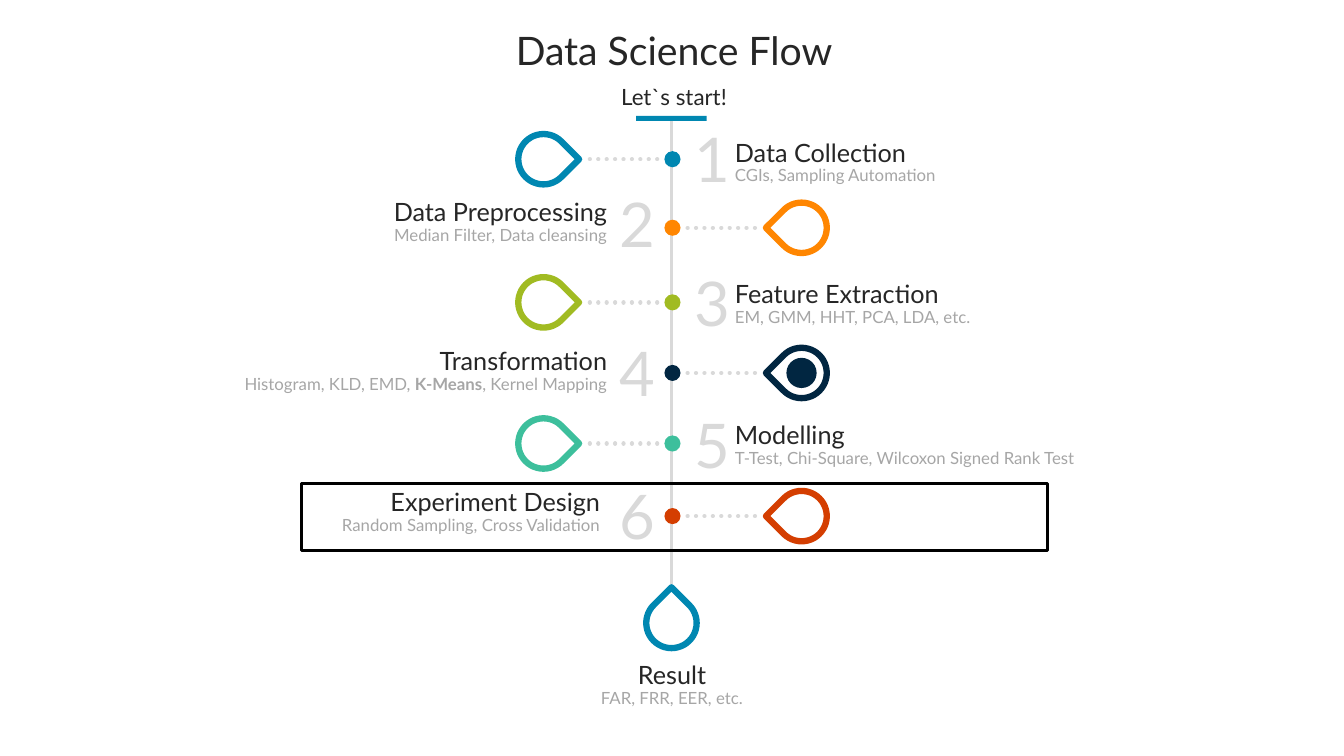
import dataclasses
import typing

import lxml.etree
import pptx
import pptx.dml.color
import pptx.enum.dml
import pptx.enum.shapes
import pptx.enum.text
import pptx.oxml.ns
import pptx.util

Inches = pptx.util.Inches
Pt = pptx.util.Pt
RGBColor = pptx.dml.color.RGBColor
Kind = pptx.enum.shapes.MSO_SHAPE
Align = pptx.enum.text.PP_ALIGN
qn = pptx.oxml.ns.qn

FONT = "Lato"
BLACK = RGBColor(0x00, 0x00, 0x00)
DARK = RGBColor(0x26, 0x26, 0x26)
GREY = RGBColor(0xA6, 0xA6, 0xA6)
PALE = RGBColor(0xD9, 0xD9, 0xD9)
BLUE = RGBColor(0x00, 0x87, 0xB1)
ORANGE = RGBColor(0xFF, 0x86, 0x01)
LIME = RGBColor(0xA1, 0xBB, 0x22)
NAVY = RGBColor(0x01, 0x26, 0x41)
MINT = RGBColor(0x3D, 0xBF, 0x9C)
RED = RGBColor(0xD4, 0x3E, 0x01)

AXIS = 6.66    # x of the spine
WIDE = 4.21    # width of the text boxes
DROP = 0.5     # size of a teardrop
DOT = 0.16     # size of a dot on the spine
GAP = 0.28     # from the top of a heading to its detail


@dataclasses.dataclass
class Style:
    size: float
    color: RGBColor


@dataclasses.dataclass
class Step:
    head: str
    note: str      # words between asterisks are bold
    color: RGBColor
    mid: float     # y of the dot
    top: float     # y of the heading
    num: float     # y of the number
    edge: float    # x of the text box


TITLE = Style(28, DARK)
START = Style(16, DARK)
HEAD = Style(18, DARK)
NOTE = Style(12, GREY)
NUMBER = Style(44, PALE)

STEPS = [
    Step("Data Collection", "CGIs, Sampling Automation",
         BLUE, 1.58, 1.31, 1.15, 7.19),
    Step("Data Preprocessing", "Median Filter, Data cleansing",
         ORANGE, 2.26, 1.9, 1.8, 1.91),
    Step("Feature Extraction", "EM, GMM, HHT, PCA, LDA, etc.",
         LIME, 3.0, 2.71, 2.58, 7.19),
    Step("Transformation", "Histogram, KLD, EMD, *K-Means*, Kernel Mapping",
         NAVY, 3.7, 3.38, 3.27, 1.91),
    Step("Modelling", "T-Test, Chi-Square, Wilcoxon Signed Rank Test",
         MINT, 4.4, 4.11, 3.99, 7.19),
    Step("Experiment Design", "Random Sampling, Cross Validation",
         RED, 5.12, 4.78, 4.69, 1.84),
]

deck = pptx.Presentation()
deck.slide_width, deck.slide_height = Inches(13.33), Inches(7.5)
slide = deck.slides.add_slide(deck.slide_layouts[5])
shapes = slide.shapes


def apply(target: typing.Any, values: dict[str, typing.Any]) -> None:
    for name, value in values.items():
        setattr(target, name, value)


def write(box: typing.Any, text: str, style: Style, align: Align) -> None:
    frame = box.text_frame
    apply(frame, {
        "word_wrap": True,
        "auto_size": pptx.enum.text.MSO_AUTO_SIZE.SHAPE_TO_FIT_TEXT,
        "vertical_anchor": pptx.enum.text.MSO_ANCHOR.TOP,
    })
    para = frame.paragraphs[0]
    para.alignment = align
    for i, part in enumerate(text.split("*")):
        run = para.add_run()
        run.text = part
        apply(run.font, {"name": FONT, "size": Pt(style.size),
                         "bold": i % 2 == 1})
        run.font.color.rgb = style.color


def label(text: str, style: Style, left: float, top: float, width: float,
          height: float, align: Align = Align.LEFT) -> None:
    box = shapes.add_textbox(*map(Inches, (left, top, width, height)))
    write(box, text, style, align)


def pair(head: str, note: str, left: float, top: float, align: Align) -> None:
    label(head, HEAD, left, top, WIDE, 0.4, align)
    label(note, NOTE, left, top + GAP, WIDE, 0.3, align)


def solid(kind: Kind, left: float, top: float, width: float, height: float,
          color: RGBColor) -> typing.Any:
    shape = shapes.add_shape(kind, *map(Inches, (left, top, width, height)))
    shape.shadow.inherit = False
    shape.fill.solid()
    shape.fill.fore_color.rgb = color
    shape.line.fill.background()
    return shape


def hollow(kind: Kind, left: float, top: float, width: float, height: float,
           color: RGBColor, weight: float, turn: float = 0) -> None:
    shape = shapes.add_shape(kind, *map(Inches, (left, top, width, height)))
    shape.shadow.inherit = False
    shape.fill.background()
    shape.line.color.rgb = color
    shape.line.width = Pt(weight)
    shape.rotation = turn


def disc(x: float, y: float, size: float, color: RGBColor) -> None:
    solid(Kind.OVAL, x - size / 2, y - size / 2, size, size, color)


def drop(x: float, y: float, color: RGBColor, turn: float) -> None:
    hollow(Kind.TEAR, x - DROP / 2, y - DROP / 2, DROP, DROP, color, 4.5, turn)


def link(x1: float, y1: float, x2: float, y2: float,
         weight: float) -> typing.Any:
    line = shapes.add_connector(pptx.enum.shapes.MSO_CONNECTOR.STRAIGHT,
                                *map(Inches, (x1, y1, x2, y2)))
    line.line.color.rgb = PALE
    line.line.width = Pt(weight)
    lxml.etree.SubElement(line.element.spPr, qn("a:effectLst"))
    return line


def dotted(x: float, y: float) -> None:
    line = link(x, y, x + 0.72, y, 3)
    line.line.dash_style = pptx.enum.dml.MSO_LINE.ROUND_DOT
    line.element.spPr.find(qn("a:ln")).set("cap", "rnd")


# Title and start
title = shapes.title
apply(title, {"left": Inches(4.58), "top": Inches(0.21),
              "width": Inches(WIDE), "height": Inches(0.57)})
write(title, "Data Science Flow", TITLE, Align.CENTER)
label("Let`s start!", START, 4.58, 0.78, WIDE, 0.37, Align.CENTER)

# Spine
bar = solid(Kind.RECTANGLE, AXIS - 0.35, 1.15, 0.7, 0.05, BLUE)
spine = link(AXIS, 1.2, AXIS, 5.8, 2.25)
spine.begin_connect(bar, 2)

# Steps, odd ones with text on the right and even ones on the left
for n, step in enumerate(STEPS, 1):
    odd = n % 2 == 1
    dotted(5.85 if odd else 6.82, step.mid)
    drop(5.39 if odd else 7.95, step.mid, step.color, 45 if odd else 225)
    disc(AXIS + 0.01, step.mid, DOT, step.color)
    label(str(n), NUMBER, 6.79 if odd else 6.05, step.num, 0.54, 0.84)
    pair(step.head, step.note, step.edge, step.top,
         Align.LEFT if odd else Align.RIGHT)

# Mark in the drop of the fourth step
disc(7.95, STEPS[3].mid, 0.3, NAVY)

# Result
drop(AXIS, 6.18, BLUE, 315)
pair("Result", "FAR, FRR, EER, etc.", 4.56, 6.49, Align.CENTER)

# Frame around the sixth step
hollow(Kind.RECTANGLE, 2.99, 4.8, 7.4, 0.66, BLACK, 2)

deck.save("out.pptx")
